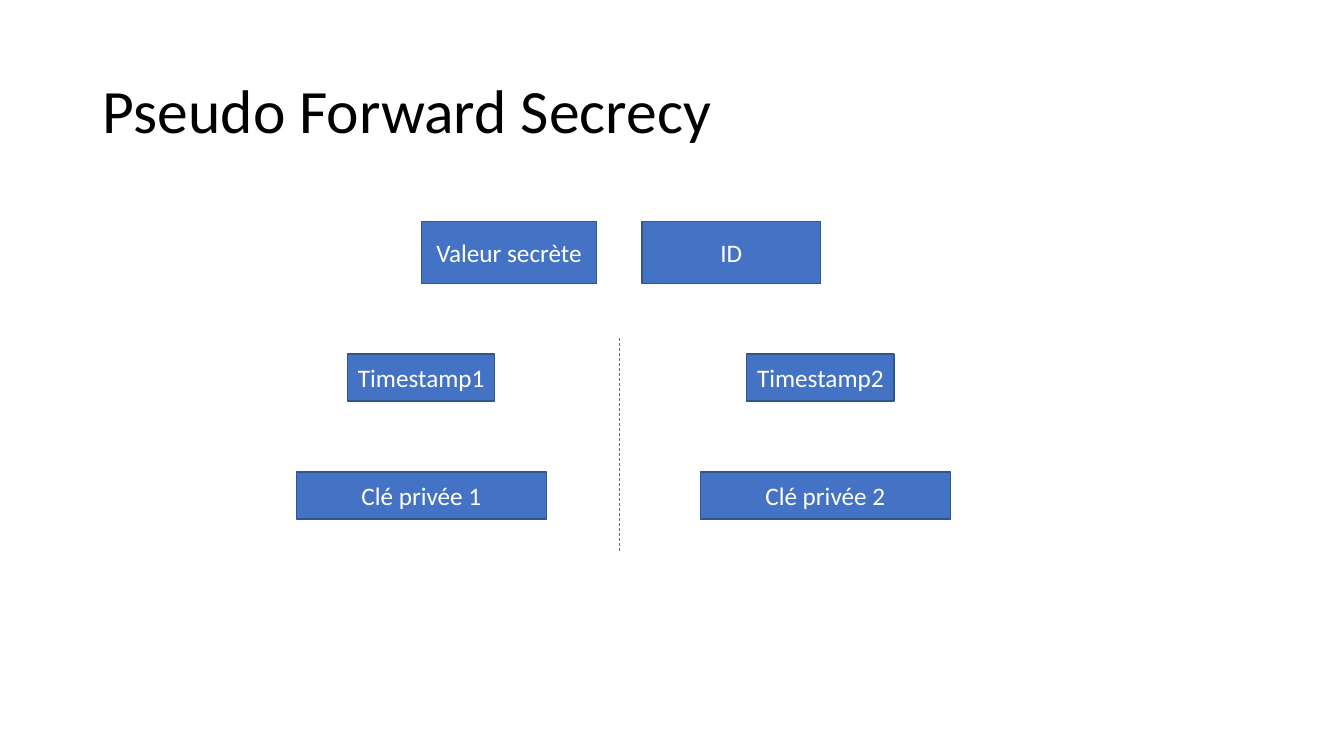
from lxml import etree
from pptx import Presentation
from pptx.dml.color import RGBColor
from pptx.enum import dml, shapes, text
from pptx.oxml import ns
from pptx.util import Cm, Pt

COLOURS = {"title": "000000", "box": "4472C4", "outline": "325491", "label": "FFFFFF"}
FONT = "Calibri"

ROW_HEIGHT = 1.19
# Label, left, top, width, height in centimetres
SOURCE_BOXES = [
    ("Valeur secrète", 10.62, 5.59, 4.42, 1.55),
    ("ID", 16.18, 5.59, 4.5, 1.55),
]
# Label, top, width, left edges of the first and second period
PERIOD_ROWS = [
    ("Timestamp", 8.92, 3.71, (8.76, 18.82)),
    ("Clé privée ", 11.89, 6.3, (7.47, 17.65)),
]


def colour(name):
    return RGBColor.from_string(COLOURS[name])


def write_text(shape, words, size=18, fill="label", align=text.PP_ALIGN.CENTER,
               spacing=1.0, side_margin=0.1):
    frame = shape.text_frame
    frame.word_wrap = True
    frame.auto_size = text.MSO_AUTO_SIZE.NONE
    frame.vertical_anchor = text.MSO_ANCHOR.MIDDLE
    frame.margin_left = frame.margin_right = Cm(side_margin)
    paragraph = frame.paragraphs[0]
    paragraph.alignment = align
    paragraph.line_spacing = spacing
    run = paragraph.add_run()
    run.text = words
    run.font.name = FONT
    run.font.size = Pt(size)
    run.font.color.rgb = colour(fill)


def add_title(slide, words):
    title = slide.shapes.title
    title.left, title.top = Cm(2.34), Cm(1.02)
    title.width, title.height = Cm(29.21), Cm(3.68)
    write_text(title, words, size=44, fill="title", align=text.PP_ALIGN.LEFT,
               spacing=0.9, side_margin=0.25)


def add_box(slide, label, left, top, width, height):
    box = slide.shapes.add_shape(shapes.MSO_SHAPE.RECTANGLE,
                                 Cm(left), Cm(top), Cm(width), Cm(height))
    box.shadow.inherit = False
    box.fill.solid()
    box.fill.fore_color.rgb = colour("box")
    box.line.color.rgb = colour("outline")
    box.line.width = Pt(1)
    write_text(box, label)


def add_divider(slide, x, top, bottom):
    divider = slide.shapes.add_connector(shapes.MSO_CONNECTOR.STRAIGHT,
                                         Cm(x), Cm(top), Cm(x), Cm(bottom))
    divider.line.color.rgb = colour("box")
    divider.line.width = Pt(0.5)
    divider.line.dash_style = dml.MSO_LINE.DASH
    etree.SubElement(divider._element.spPr, ns.qn("a:effectLst"))


def main():
    presentation = Presentation()
    presentation.slide_width, presentation.slide_height = Cm(33.87), Cm(19.05)
    slide = presentation.slides.add_slide(presentation.slide_layouts[5])
    add_title(slide, "Pseudo Forward Secrecy")

    # Shared inputs
    for source_box in SOURCE_BOXES:
        add_box(slide, *source_box)

    # Timestamp and private key of each period
    for label, top, width, lefts in PERIOD_ROWS:
        for period, left in enumerate(lefts, start=1):
            add_box(slide, f"{label}{period}", left, top, width, ROW_HEIGHT)

    # Line between the two periods
    add_divider(slide, 15.62, 8.51, 13.89)

    presentation.save("out.pptx")


if __name__ == "__main__":
    main()
